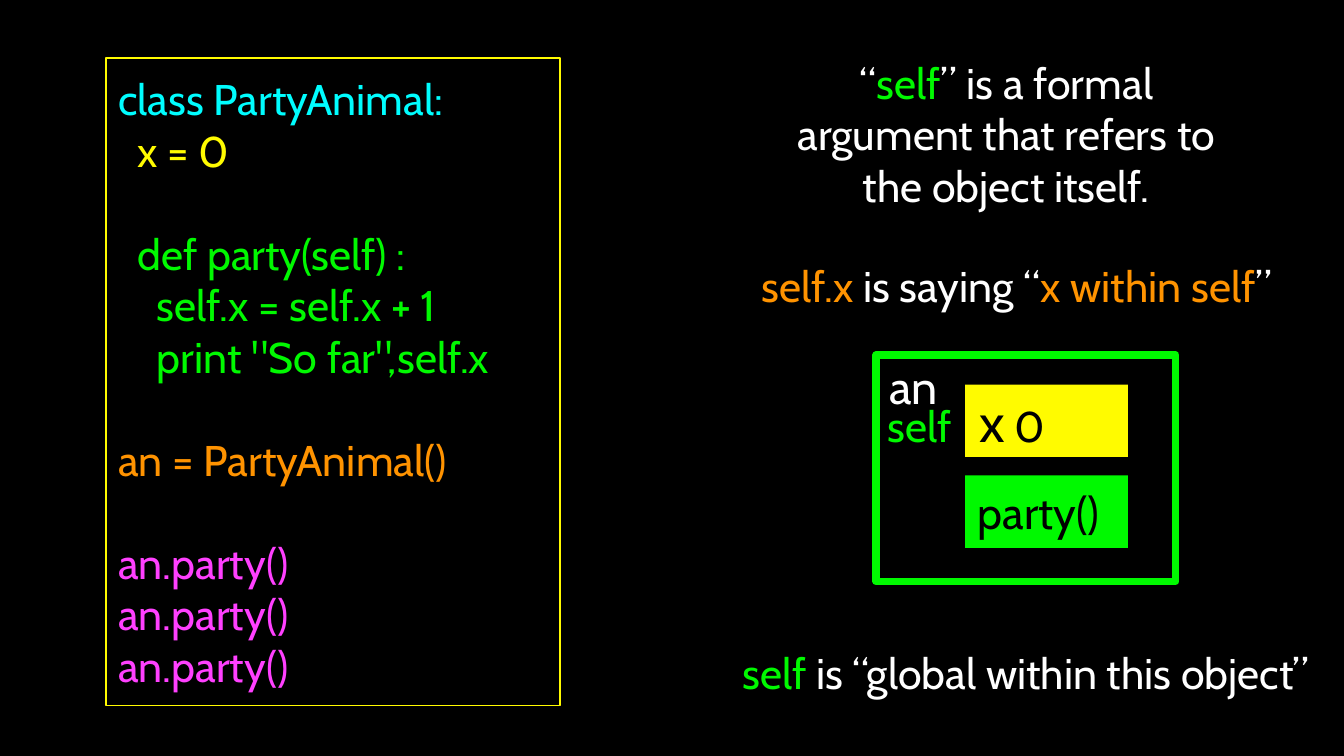
"""Build a slide that explains what self means inside a Python class."""
from pptx import Presentation
from pptx.dml.color import RGBColor
from pptx.enum.shapes import MSO_SHAPE
from pptx.enum.text import MSO_ANCHOR, PP_ALIGN
from pptx.util import Pt

BLACK, WHITE, YELLOW, GREEN = "000000", "FFFFFF", "FFFB00", "00F900"
CYAN, ORANGE, PINK = "00FDFF", "FF9300", "FF40FF"


def rgb(color):
    return RGBColor.from_string(color)


def write(p, text, *, font="Cabin", size=23, color=WHITE):
    r = p.add_run()
    r.text = text
    r.font.name = font
    r.font.size = Pt(size)
    r.font.color.rgb = rgb(color)


class SelfSlide:
    inset = 1.5
    line_height = 27.6

    def __init__(self, prs):
        self.s = prs.slides.add_slide(prs.slide_layouts[6])
        fill = self.s.background.fill
        fill.solid()
        fill.fore_color.rgb = rgb(BLACK)

    def frame(self, sp, indent=0, anchor=MSO_ANCHOR.MIDDLE):
        tf = sp.text_frame
        tf.word_wrap = True
        tf.vertical_anchor = anchor
        tf.margin_left = Pt(self.inset + indent)
        tf.margin_right = tf.margin_top = tf.margin_bottom = Pt(self.inset)
        return tf

    def box(self, shapes, at, fill=None, line=None, width=1):
        sp = shapes.add_shape(MSO_SHAPE.RECTANGLE, *map(Pt, at))
        sp.shadow.inherit = False
        if fill:
            sp.fill.solid()
            sp.fill.fore_color.rgb = rgb(fill)
        else:
            sp.fill.background()
        if line:
            sp.line.color.rgb = rgb(line)
            sp.line.width = Pt(width)
        else:
            sp.line.fill.background()
        return sp

    def label(self, sp, text, indent, anchor=MSO_ANCHOR.MIDDLE, **style):
        p = self.frame(sp, indent, anchor).paragraphs[0]
        p.alignment = PP_ALIGN.LEFT
        write(p, text, **style)

    def code(self, at, blocks):
        tf = self.frame(self.box(self.s.shapes, at, line=YELLOW), indent=5)
        p = tf.paragraphs[0]
        for i, block in enumerate(blocks):
            for j, (text, color) in enumerate(block):
                if i or j:
                    p = tf.add_paragraph()
                if i and not j:
                    p.space_before = Pt(self.line_height)
                p.alignment = PP_ALIGN.LEFT
                write(p, text, color=color)

    def note(self, at, *parts, indent=0):
        sp = self.s.shapes.add_textbox(*map(Pt, at))
        p = self.frame(sp, indent).paragraphs[0]
        p.alignment = PP_ALIGN.CENTER
        for text, color in parts:
            write(p, text, color=color)

    def instance(self, at, name, members):
        shapes = self.s.shapes.add_group_shape().shapes
        outer = self.box(shapes, at, line=GREEN, width=4)
        self.label(outer, name, 5.5, MSO_ANCHOR.TOP, size=25)
        for i, (text, size, color) in enumerate(members):
            sp = self.box(shapes, (517, 206 + 48.7 * i, 87.3, 38.8), fill=color)
            self.label(sp, text, size * 0.22, size=size, color=BLACK)


def main():
    prs = Presentation()
    prs.slide_width, prs.slide_height = Pt(720), Pt(405)
    slide = SelfSlide(prs)
    slide.code((56.9, 31, 243.3, 347), [
        [("class PartyAnimal:", CYAN), ("  x = 0", YELLOW)],
        [("  def party(self) :", GREEN), ("    self.x = self.x + 1", GREEN),
         ('    print "So far",self.x', GREEN)],
        [("an = PartyAnimal()", ORANGE)],
        [("an.party()", PINK)] * 3,
    ])
    slide.instance((469.4, 190.2, 160.5, 121.3), "an",
                   [("x", 29, YELLOW), ("party()", 24, GREEN)])
    slide.note((542.2, 214, 15.8, 28), ("0", BLACK))
    slide.note((415.5, 33, 247.5, 77), ("“", WHITE), ("self", GREEN),
               ("” is a formal argument that refers to the object itself.", WHITE))
    slide.note((468.7, 214, 43.2, 28), ("self", GREEN), indent=5)
    slide.note((404, 139, 281.5, 28), ("self.x", ORANGE), (" is saying “", WHITE),
               ("x within self", ORANGE), ("”", WHITE))
    slide.note((395, 334, 309.5, 52.6), ("self", GREEN),
               (" is “global within this object”", WHITE))
    prs.save("out.pptx")


if __name__ == "__main__":
    main()
